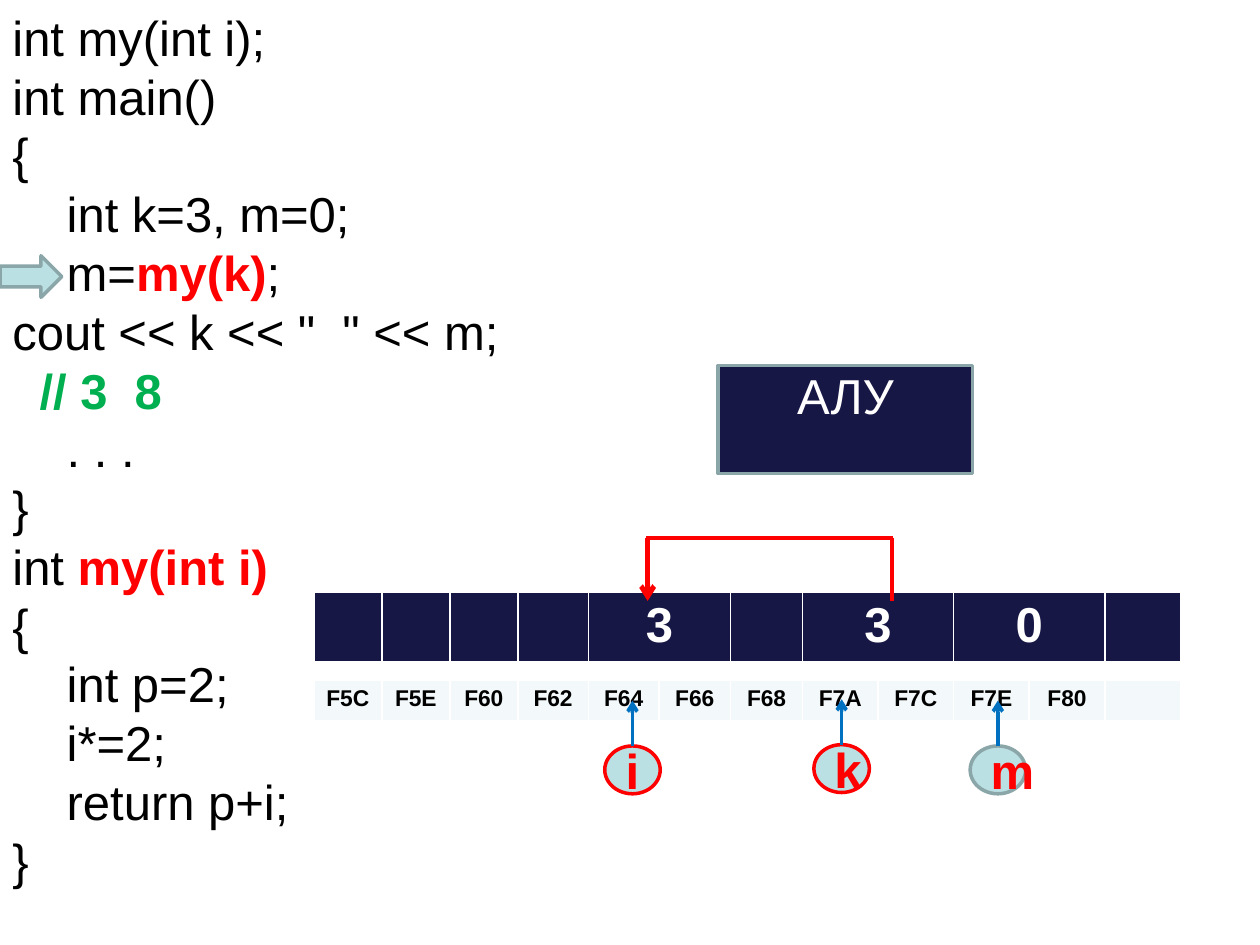
from dataclasses import dataclass

from lxml import etree
from pptx import Presentation
from pptx.dml.color import RGBColor
from pptx.enum.shapes import MSO_CONNECTOR, MSO_SHAPE
from pptx.enum.text import MSO_ANCHOR, PP_ALIGN
from pptx.oxml.ns import qn
from pptx.util import Inches, Pt

STRAIGHT = MSO_CONNECTOR.STRAIGHT
ARROW, OVAL, BOX = MSO_SHAPE.RIGHT_ARROW, MSO_SHAPE.OVAL, MSO_SHAPE.RECTANGLE
TOP, MIDDLE = MSO_ANCHOR.TOP, MSO_ANCHOR.MIDDLE
LEFT, CENTER = PP_ALIGN.LEFT, PP_ALIGN.CENTER
COLUMNS, ROWS = 100, 75


@dataclass(frozen=True)
class Theme:
    font: str = "Arial"
    ink: str = "000000"
    paper: str = "FFFFFF"
    navy: str = "171745"
    pale: str = "F3F9FA"
    aqua: str = "BBE0E3"
    gray: str = "8AA6A8"
    red: str = "FF0000"
    green: str = "00B050"
    blue: str = "0070C0"
    large: float = 28
    small: float = 13
    tiny: float = 4
    leading: float = 33.6


THEME = Theme()

CODE = [
    ["int my(int i);"],
    ["int main()"],
    ["{"],
    ["    int k=3, m=0;"],
    ["    m=", ("my(k)", THEME.red), ";"],
    ['cout << k << "  " << m;   ', ("// 3  8", THEME.green)],
    ["    . . ."],
    ["}"],
    ["int ", ("my(int i)", THEME.red)],
    ["{"],
    ["    int p=2;"],
    ["    i*=2;"],
    ["    return p+i;"],
    ["}"],
]
MEMORY_COLUMNS = [5.4] * 3 + [5.6] * 2 + [5.7] * 2 + [6] * 5
MEMORY_ROWS = [5.5, 1.3, 3.2]
VALUES = {4: "3", 7: "3", 9: "0"}
ADDRESSES = ["F5C", "F5E", "F60", "F62", "F64", "F66", "F68", "F7A", "F7C", "F7E", "F80", ""]
VARIABLES = [
    ("k", 64.6, 59.1, THEME.red),
    ("m", 77, 59.2, THEME.gray),
    ("i", 48, 59.2, THEME.red),
]


def grid(*units):
    return [Inches(unit / 10) for unit in units]


def rgb(color):
    return RGBColor.from_string(color)


def write(para, text, size=THEME.large, color=THEME.ink, bold=False, align=LEFT):
    para.alignment = align
    span = para.add_run()
    span.text = text
    span.font.name = THEME.font
    span.font.size = Pt(size)
    span.font.bold = bold
    span.font.color.rgb = rgb(color)


def add_code(page, at):
    frame = page.shapes.add_textbox(*grid(*at)).text_frame
    frame.word_wrap = True
    for number, line in enumerate(CODE):
        para = frame.add_paragraph() if number else frame.paragraphs[0]
        para.line_spacing = Pt(THEME.leading)
        for part in line:
            if isinstance(part, tuple):
                write(para, part[0], color=part[1], bold=True)
            else:
                write(para, part)


def add_figure(page, kind, at, fill, outline, anchor=MIDDLE):
    figure = page.shapes.add_shape(kind, *grid(*at))
    figure.shadow.inherit = False
    figure.fill.solid()
    figure.fill.fore_color.rgb = rgb(fill)
    figure.line.color.rgb = rgb(outline)
    figure.line.width = Pt(2)
    figure.text_frame.word_wrap = True
    figure.text_frame.vertical_anchor = anchor
    return figure


def add_line(page, ends, color, width=2, arrow=False):
    line = page.shapes.add_connector(STRAIGHT, *grid(*ends))
    line.line.color.rgb = rgb(color)
    line.line.width = Pt(width)
    properties = line._element.spPr
    if arrow:
        etree.SubElement(properties.find(qn("a:ln")), qn("a:tailEnd"), type="arrow")
    etree.SubElement(properties, qn("a:effectLst"))


def add_border(cell, side, width):
    edge = etree.SubElement(cell._tc.get_or_add_tcPr(), qn(f"a:{side}"), w=str(Pt(width)))
    fill = etree.SubElement(edge, qn("a:solidFill"))
    etree.SubElement(fill, qn("a:srgbClr"), val=THEME.paper)


def style_cell(cell, fill, size, text="", color=THEME.ink, base=1, padding=0.5):
    for side, width in (("lnL", 1), ("lnR", 1), ("lnT", 1), ("lnB", base)):
        add_border(cell, side, width)
    cell.fill.solid()
    cell.fill.fore_color.rgb = rgb(fill)
    cell.margin_left, cell.margin_right = grid(0.5, 0.5)
    cell.margin_top, cell.margin_bottom = grid(padding, padding)
    para = cell.text_frame.paragraphs[0]
    if text:
        write(para, text, size=size, color=color, bold=True, align=CENTER)
    else:
        etree.SubElement(para._p, qn("a:endParaRPr"), sz=str(int(size * 100)))


def add_memory(page, left, top):
    at = grid(left, top, sum(MEMORY_COLUMNS), sum(MEMORY_ROWS))
    table = page.shapes.add_table(len(MEMORY_ROWS), len(MEMORY_COLUMNS), *at).table
    table.first_row = table.horz_banding = False
    for column, width in zip(table.columns, grid(*MEMORY_COLUMNS)):
        column.width = width
    for row, height in zip(table.rows, grid(*MEMORY_ROWS)):
        row.height = height
    for number, address in enumerate(ADDRESSES):
        style_cell(table.cell(0, number), THEME.navy, THEME.large,
                   VALUES.get(number, ""), color=THEME.paper, base=3)
        style_cell(table.cell(1, number), THEME.paper, THEME.tiny, padding=0)
        style_cell(table.cell(2, number), THEME.pale, THEME.small, address)
    for number in VALUES:
        table.cell(0, number).merge(table.cell(0, number + 1))


def add_variable(page, name, left, top, outline):
    width, height, reach = 4.4, 3.8, 3.6
    center = left + width / 2
    oval = add_figure(page, OVAL, (left, top, width, height), THEME.aqua, outline)
    write(oval.text_frame.paragraphs[0], name, color=THEME.red, bold=True, align=CENTER)
    add_line(page, (center, top, center, top - reach), THEME.blue, arrow=True)


def add_copy_path(page, source, target, top):
    add_line(page, (source + 0.1, top, target - 0.1, top), THEME.red)
    add_line(page, (target, top, target, top + 5), THEME.red, width=2.75, arrow=True)
    add_line(page, (source, top, source, top + 5), THEME.red, width=2.75)


def add_processor(page, at):
    box = add_figure(page, BOX, at, THEME.navy, THEME.gray, anchor=TOP)
    box.text_frame.margin_top = 0
    write(box.text_frame.paragraphs[0], "АЛУ", color=THEME.paper, align=CENTER)


def main():
    deck = Presentation()
    deck.slide_width, deck.slide_height = grid(COLUMNS, ROWS)
    page = deck.slides.add_slide(deck.slide_layouts[6])
    add_code(page, (0, 0.1, 40.9, 71.7))
    add_figure(page, ARROW, (0, 20.3, 4.9, 3.3), THEME.aqua, THEME.gray)
    add_memory(page, 24.9, 47)
    for variable in VARIABLES:
        add_variable(page, *variable)
    add_copy_path(page, source=70.8, target=51.4, top=42.7)
    add_processor(page, (57, 29, 20.2, 8.6))
    deck.save("out.pptx")


if __name__ == "__main__":
    main()
